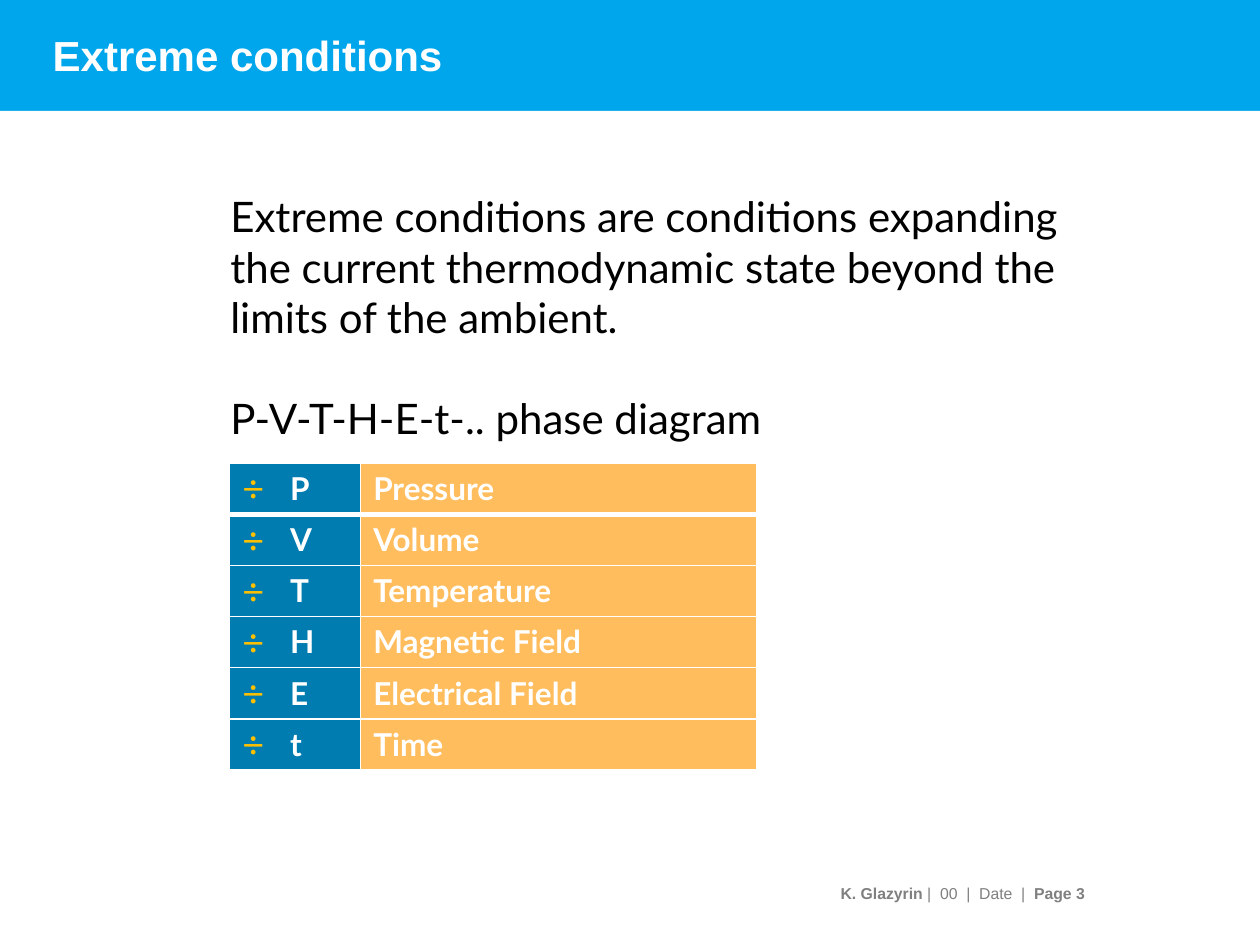
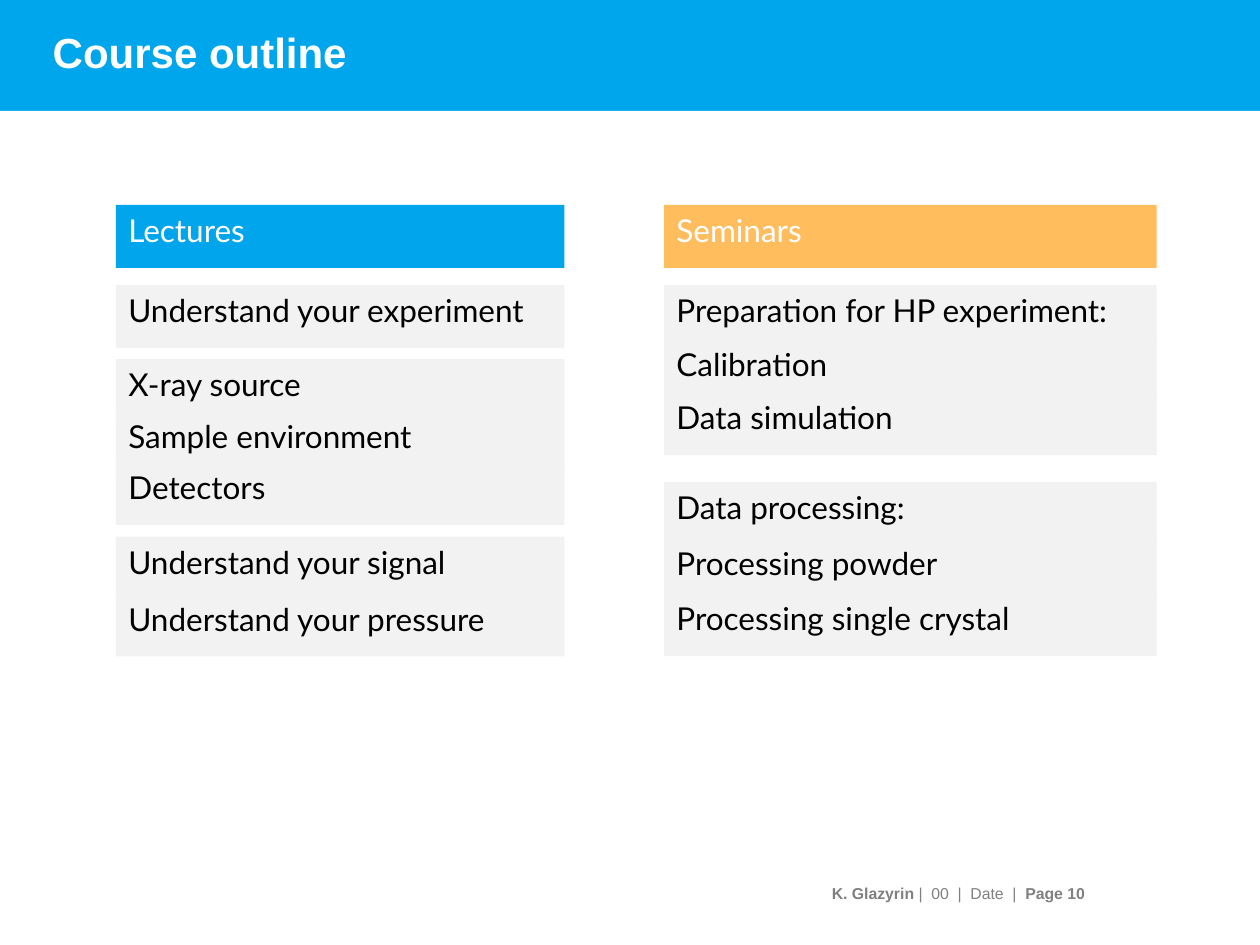
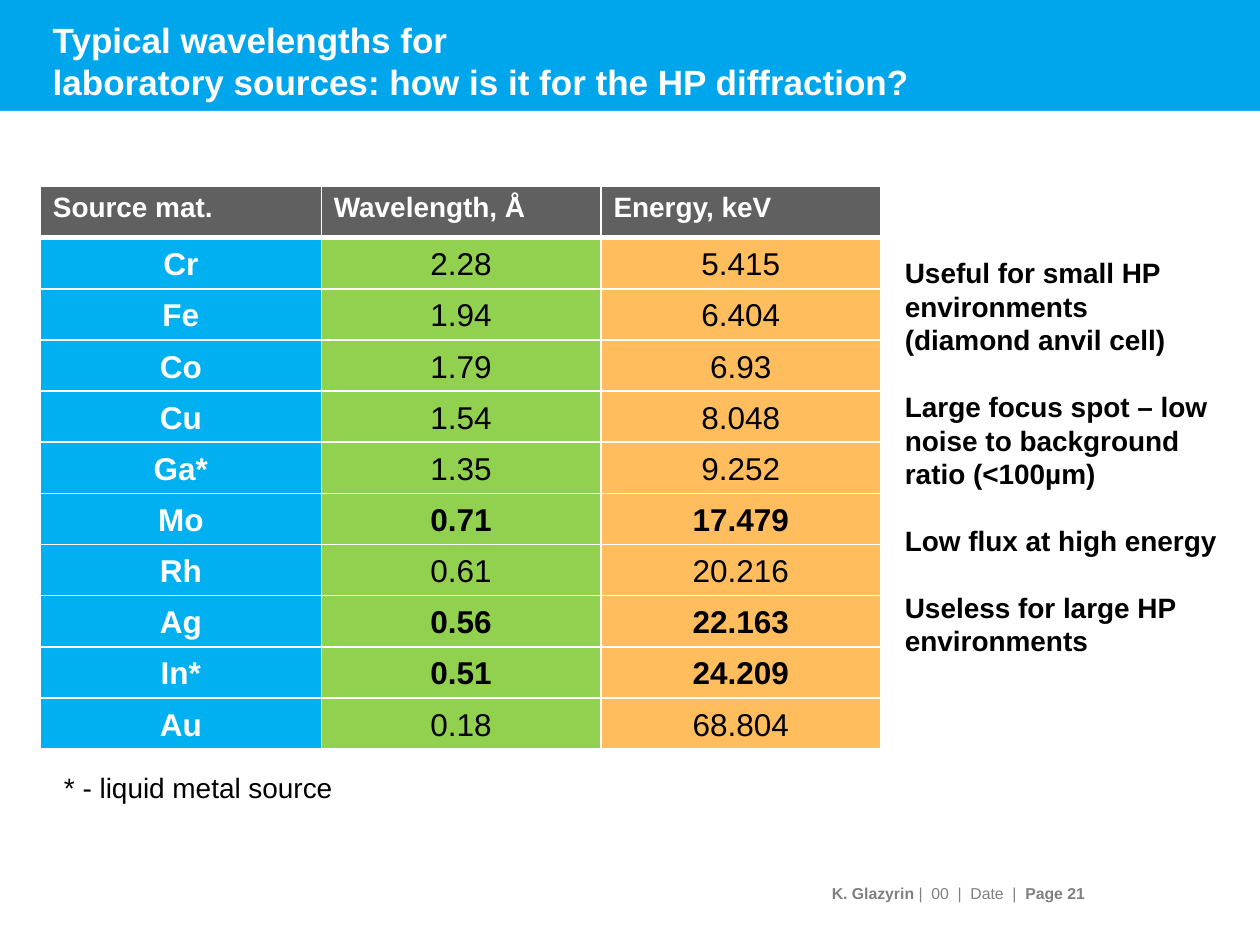
"""Build three course slides on extreme conditions and X-ray sources."""
from lxml.etree import SubElement
from pptx import Presentation
from pptx.dml.color import RGBColor
from pptx.enum.shapes import MSO_SHAPE as Shape
from pptx.enum.text import MSO_ANCHOR as Anchor, PP_ALIGN as Align
from pptx.oxml import parse_xml
from pptx.oxml.ns import nsdecls, qn
from pptx.util import Emu, Inches, Pt

COLORS = {
    "band": "00A6EB", "lecture": "00A5EB", "orange": "FFBD5E", "panel": "F2F2F2",
    "symbol": "007CB0", "bullet": "FFC000", "header": "606060", "element": "00B0F0",
    "wavelength": "92D050", "footer": "808080", "white": "FFFFFF", "black": "000000",
}
STYLES = {
    "title": ("Arial", 24, "white", True),
    "long title": ("Arial", 20, "white", True),
    "footer": ("Arial", 9, "footer", None),
    "statement": ("Lato", 24, "black", False),
    "property": ("Lato", 18, "white", True),
    "heading": ("Lato", 18, "white", False),
    "topic": ("Lato", 18, "black", False),
    "header": ("Arial", 16, "white", True),
    "element": ("Arial", 18, "white", True),
    "value": ("Arial", 18, "black", False),
    "strong value": ("Arial", 18, "black", True),
    "remark": ("Arial", 16, "black", True),
    "footnote": ("Arial", 16, "black", False),
}
TITLES = [
    ("Extreme conditions", "title", 1.35, 6, 3),
    ("Course outline", "title", 1.1, 6, 10),
    ("Typical wavelengths for\vlaboratory sources: how is it for the HP diffraction?",
     "long title", 1.1, 7.4, 21),
]
PROPERTIES = [("P", "Pressure"), ("V", "Volume"), ("T", "Temperature"),
              ("H", "Magnetic Field"), ("E", "Electrical Field"), ("t", "Time")]
OUTLINE = [
    (9.2, 35.6, "Lectures", "lecture", [
        (22.63, 4.1, ["Understand your experiment"]),
        (28.5, 4.08, ["X-ray source", "Sample environment", "Detectors"]),
        (42.6, 4.5, ["Understand your signal", "Understand your pressure"])]),
    (52.7, 39.1, "Seminars", "orange", [
        (22.63, 4.25, ["Preparation for HP experiment:", "Calibration", "Data simulation"]),
        (38.25, 4.42, ["Data processing:", "Processing powder", "Processing single crystal"])]),
]
SOURCES = [
    ("Source mat.", "Wavelength, Å", "Energy, keV"),
    ("Cr", "2.28", "5.415"), ("Fe", "1.94", "6.404"), ("Co", "1.79", "6.93"),
    ("Cu", "1.54", "8.048"), ("Ga*", "1.35", "9.252"), ("Mo", "0.71", "17.479"),
    ("Rh", "0.61", "20.216"), ("Ag", "0.56", "22.163"), ("In*", "0.51", "24.209"),
    ("Au", "0.18", "68.804"),
]
HIGHLIGHTED = {"Mo", "Ag", "In*"}
REMARKS = [
    "Useful for small HP environments (diamond anvil cell)",
    "Large focus spot – low noise to background ratio (<100µm)",
    "Low flux at high energy",
    "Useless for large HP environments",
]

deck = Presentation()
deck.slide_width, deck.slide_height = Inches(10), Inches(7.5)
UNIT = deck.slide_width // 100
ROW = 4.06


def place(*cells):
    """Turn grid units, a hundred to the slide's width, into lengths."""
    return [Emu(round(UNIT * cell)) for cell in cells]


def write(frame, lines, style, gap=0):
    """Write one paragraph per line, with a gap between paragraphs."""
    name, size, color, bold = STYLES[style]
    frame.word_wrap = True
    for index, line in enumerate(lines):
        para = frame.paragraphs[0] if index == 0 else frame.add_paragraph()
        para.text = line
        para.alignment = Align.LEFT
        if index:
            para.space_before = Pt(gap)
        para.font.name, para.font.size, para.font.bold = name, Pt(size), bold
        para.font.color.rgb = RGBColor.from_string(COLORS[color])


pages = []
panels = []
for title, style, top, height, number in TITLES:
    page = deck.slides.add_slide(deck.slide_layouts[6])
    pages.append(page)
    panels.append((page, (0, 8.8, 100, 56.2), "", "topic", "white"))
    panels.append((page, (0, 0, 100, 27.7), "", "title", "band"))

    box = page.shapes.add_textbox(*place(3.2, top, 93.2, height))
    box.text_frame.vertical_anchor = Anchor.MIDDLE
    write(box.text_frame, [title], style)

    footer = page.shapes.add_textbox(*place(3.1, 68.7, 83, 4.4)).text_frame
    footer.vertical_anchor = Anchor.MIDDLE
    footer.margin_right = 0
    write(footer, [""], "footer")
    para = footer.paragraphs[0]
    para.alignment = Align.RIGHT
    for text, bold in [("K. Glazyrin ", True), ("|  00  |  Date  |  ", False),
                       (f"Page {number}", True)]:
        span = para.add_run()
        span.text, span.font.bold = text, bold

conditions, outline, wavelengths = pages

for left, width, heading, color, groups in OUTLINE:
    panels.append((outline, (left, 16.27, width, 5), heading, "heading", color))
    for top, pitch, topics in groups:
        for index, topic in enumerate(topics):
            area = (left, top + index * pitch, width, 5)
            panels.append((outline, area, topic, "topic", "panel"))

for page, area, text, style, color in panels:
    panel = page.shapes.add_shape(Shape.RECTANGLE, *place(*area))
    panel.shadow.inherit = False
    panel.fill.solid()
    panel.fill.fore_color.rgb = RGBColor.from_string(COLORS[color])
    panel.line.fill.background()
    if text:
        panel.text_frame.vertical_anchor = Anchor.TOP
        write(panel.text_frame, [text], style)
    else:
        tree = page.shapes[0].element.getparent()
        tree.insert(2, panel.element)

for page, area, lines, style, gap in [
    (conditions, (17.3, 14.65, 69.2, 21.2),
     ["Extreme conditions are conditions expanding the current thermodynamic state "
      "beyond the limits of the ambient.", "P-V-T-H-E-t-.. phase diagram"],
     "statement", 28.6),
    (wavelengths, (4.1, 60.7, 41.6, 3.7), ["* - liquid metal source"], "footnote", 0),
    (wavelengths, (70.83, 19.8, 26.9, 33.3), REMARKS, "remark", 19),
]:
    write(page.shapes.add_textbox(*place(*area)).text_frame, lines, style, gap)

for page, left, top, widths, fills, rows in [
    (conditions, 18.23, 36.75, (10.4, 31.4), ("symbol", "orange"), PROPERTIES),
    (wavelengths, 3.2, 14.8, (22.3, 22.2, 22.2), ("element", "wavelength", "orange"), SOURCES),
]:
    area = place(left, top, sum(widths), ROW * len(rows))
    table = page.shapes.add_table(len(rows), len(widths), *area).table
    table.first_row = table.horz_banding = False
    for column, width in zip(table.columns, place(*widths)):
        column.width = width
    for r, texts in enumerate(rows):
        table.rows[r].height = place(ROW)[0]
        for c, text in enumerate(texts):
            cell = table.cell(r, c)
            para = cell.text_frame.paragraphs[0]
            fill, style = fills[c], "property"
            if rows is PROPERTIES and c == 0:
                props = para._p.get_or_add_pPr()
                indent = Inches(0.38)
                props.set("marL", str(indent))
                props.set("indent", str(-indent))
                tint = SubElement(props, qn("a:buClr"))
                SubElement(tint, qn("a:srgbClr"), val=COLORS["bullet"])
                SubElement(props, qn("a:buSzPct"), val="120000")
                SubElement(props, qn("a:buFont"), typeface="Lato")
                SubElement(props, qn("a:buChar"), char="÷")
            elif rows is SOURCES and r == 0:
                fill = style = "header"
            elif rows is SOURCES:
                strong = "strong value" if texts[0] in HIGHLIGHTED else "value"
                style = strong if c else "element"
                cell.vertical_anchor = Anchor.BOTTOM
                cell.margin_left = cell.margin_right = cell.margin_top = Inches(0.01)
            write(cell.text_frame, [text], style)
            if style in ("element", "value", "strong value"):
                para.alignment = Align.CENTER

            cell.fill.solid()
            cell.fill.fore_color.rgb = RGBColor.from_string(COLORS[fill])
            edges = {"L": 1, "R": 1, "T": 3 if r == 1 else 1, "B": 3 if r == 0 else 1}
            for position, (side, weight) in enumerate(edges.items()):
                cell._tc.get_or_add_tcPr().insert(position, parse_xml(
                    f'<a:ln{side} {nsdecls("a")} w="{Pt(weight)}"><a:solidFill>'
                    f'<a:srgbClr val="{COLORS["white"]}"/></a:solidFill></a:ln{side}>'))

deck.save("out.pptx")
